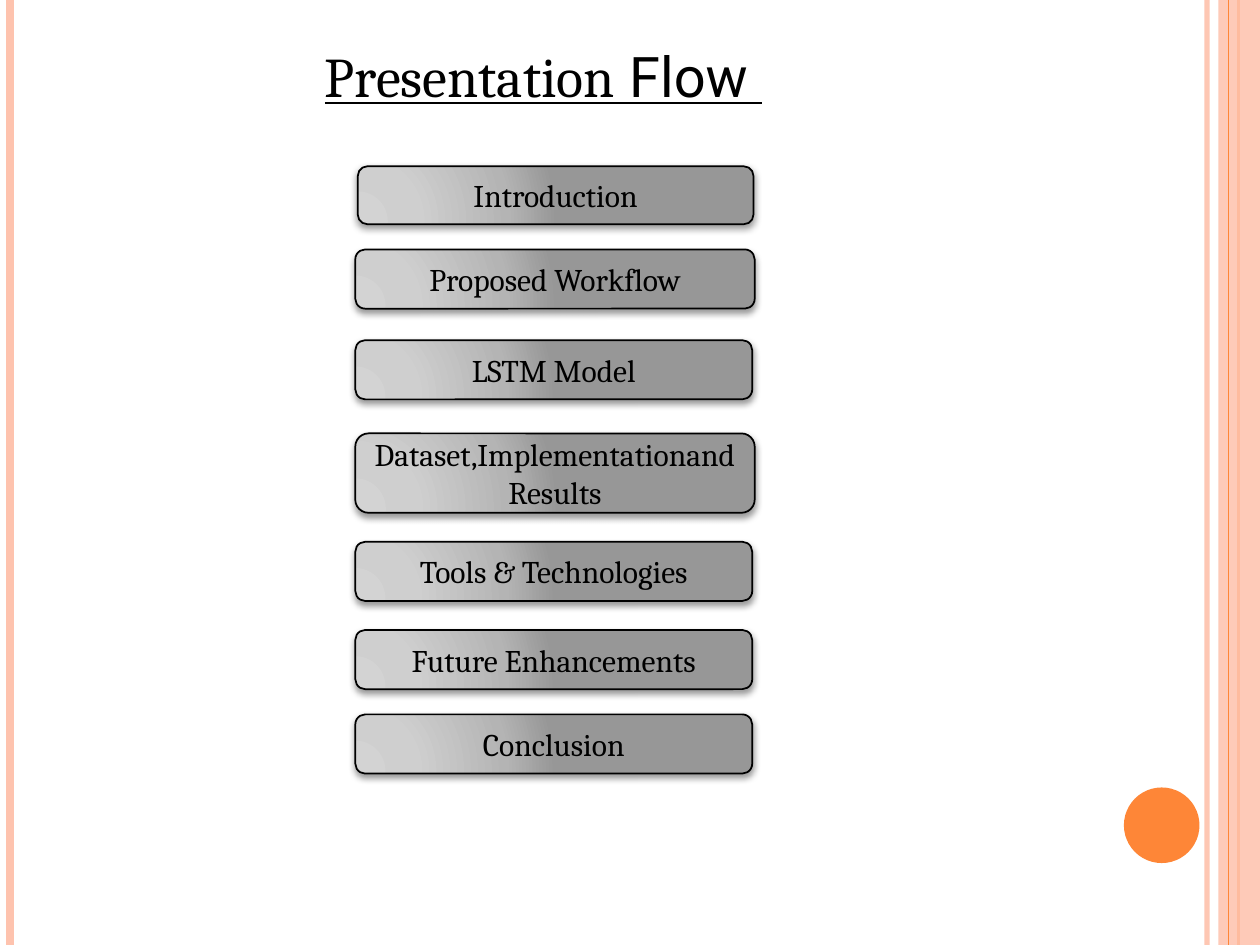
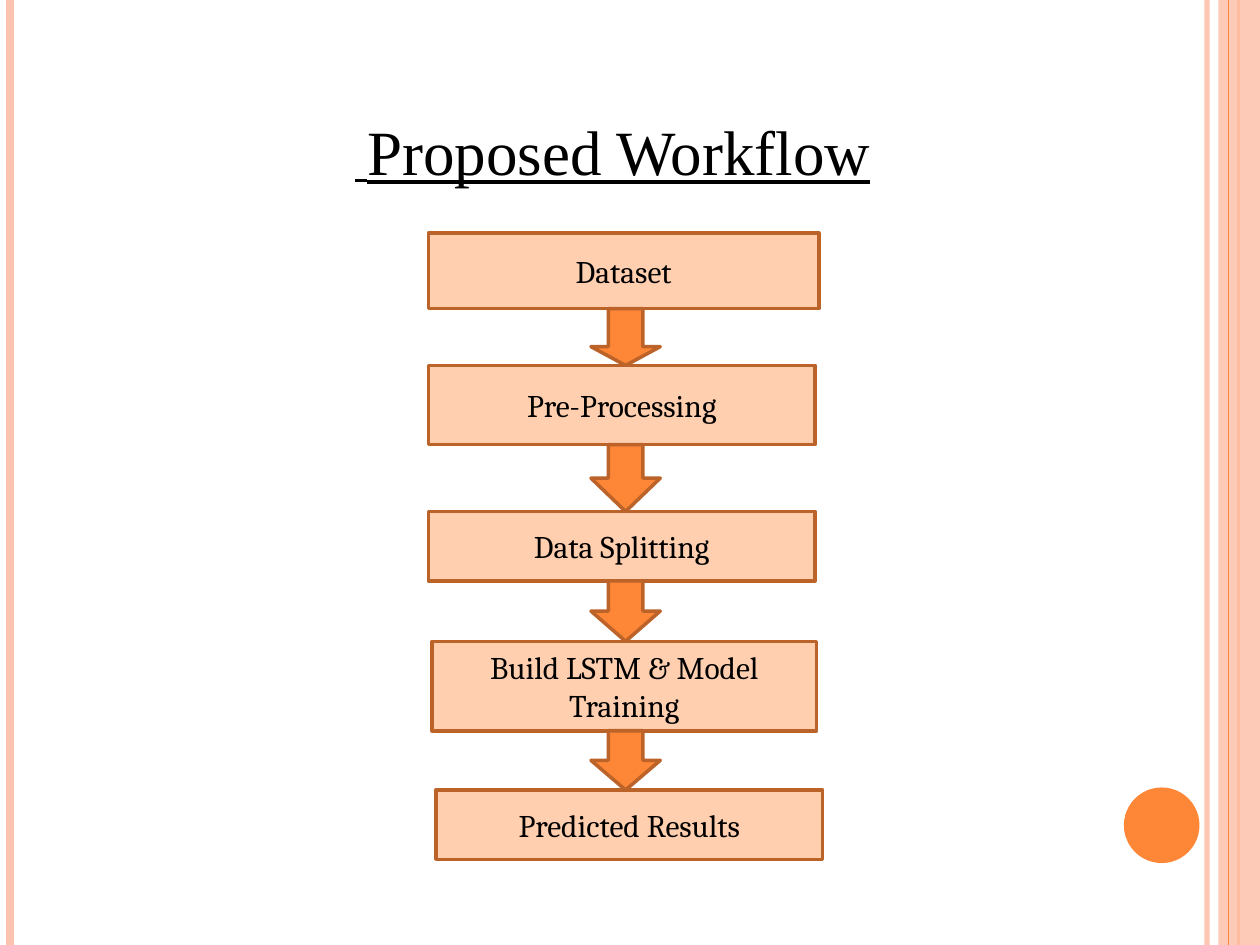
from itertools import pairwise
from lxml.etree import SubElement
from pptx import Presentation
from pptx.dml.color import RGBColor
from pptx.enum.shapes import MSO_CONNECTOR, MSO_SHAPE
from pptx.enum.text import MSO_ANCHOR, PP_ALIGN
from pptx.oxml import parse_xml
from pptx.oxml.ns import nsdecls, qn
from pptx.util import Inches, Pt

BLACK, PINK, ORANGE = "000000", "FEC3AE", "FE8637"
PEACH, BROWN = "FFCFAF", "BC6329"
SERIF = "Cambria"
GREYS = [(0, "D3D3D3"), (30, "CFCFCF"), (75, "B4B4B4"), (100, "979797")]


def color(code):
    """Turn a hex string into a colour."""
    return RGBColor.from_string(code)


def fade(part, share):
    """Make the colours of a shape or line partly opaque, in percent."""
    for tint in part._element.spPr.iter(qn("a:srgbClr")):
        SubElement(tint, qn("a:alpha")).set("val", str(share * 1000))


def add_box(slide, kind, box, fill=None, edge=None, width=1):
    """Place a preset shape without a shadow."""
    shape = slide.shapes.add_shape(kind, *map(Inches, box))
    shape.shadow.inherit = False
    if fill:
        shape.fill.solid()
        shape.fill.fore_color.rgb = color(fill)
    if edge:
        shape.line.color.rgb = color(edge)
        shape.line.width = Pt(width)
    else:
        shape.line.fill.background()
    return shape


def add_label(shape, text):
    """Write centred text into a shape."""
    frame = shape.text_frame
    frame.word_wrap = True
    frame.vertical_anchor = MSO_ANCHOR.MIDDLE
    para = frame.paragraphs[0]
    para.text = text
    para.alignment = PP_ALIGN.CENTER
    para.font.name, para.font.size = SERIF, Pt(18)
    para.font.color.rgb = color(BLACK)


def add_rule(slide, left, tint, width):
    """Draw a vertical rule over the full slide height."""
    rule = slide.shapes.add_connector(
        MSO_CONNECTOR.STRAIGHT, Inches(left), 0, Inches(left), Inches(7.5))
    rule.line.color.rgb = color(tint)
    rule.line.width = Pt(width)
    SubElement(rule._element.spPr, qn("a:effectLst"))
    return rule


def add_frame(slide):
    """Draw the side bands and the disc that all slides share."""
    fade(add_rule(slide, 9.58, PINK, 3), 93)
    add_rule(slide, 0.08, PINK, 4.5)
    add_rule(slide, 9.83, ORANGE, 1.5)
    fade(add_box(slide, MSO_SHAPE.RECTANGLE, (9.67, 0, 0.33, 7.5), PINK), 87)
    add_rule(slide, 9.75, ORANGE, 0.75)
    add_box(slide, MSO_SHAPE.OVAL, (8.92, 6.25, 0.6, 0.6), ORANGE)


def add_title(slide, box, runs):
    """Write an underlined title from (text, font, size) runs."""
    frame = slide.shapes.add_textbox(*map(Inches, box)).text_frame
    frame.word_wrap = True
    para = frame.paragraphs[0]
    for text, face, size in runs:
        run = para.add_run()
        run.text = text
        run.font.name, run.font.size = face, Pt(size)
        run.font.underline = True
        run.font.color.rgb = color(BLACK)


def add_pill(slide, box, text):
    """Place a rounded agenda bar with a grey gradient and soft shadow."""
    pill = add_box(slide, MSO_SHAPE.ROUNDED_RECTANGLE, box, edge=BLACK)
    stops = "".join(
        f'<a:gs pos="{pos * 1000}"><a:srgbClr val="{tint}"/></a:gs>'
        for pos, tint in GREYS)
    props = pill._element.spPr
    props.insert(2, parse_xml(
        f'<a:gradFill {nsdecls("a")} rotWithShape="1"><a:gsLst>{stops}</a:gsLst>'
        '<a:path path="circle"><a:fillToRect l="5000" t="100000" r="120000" '
        'b="10000"/></a:path></a:gradFill>'))
    props.find(qn("a:effectLst")).append(parse_xml(
        f'<a:outerShdw {nsdecls("a")} blurRad="{Pt(4)}" dist="{Pt(2)}" '
        'dir="5400000" rotWithShape="0"><a:srgbClr val="000000">'
        '<a:alpha val="40000"/></a:srgbClr></a:outerShdw>'))
    add_label(pill, text)


def add_agenda(slide, left, rows):
    """Stack agenda bars given as (shift, top, width, height, text)."""
    for shift, top, width, height, text in rows:
        add_pill(slide, (left + shift, top, width, height), text)


def add_flow(slide, left, steps):
    """Stack (shift, top, width, height, text) steps and fill gaps with arrows."""
    for shift, top, width, height, text in steps:
        box = left + shift, top, width, height
        add_label(add_box(slide, MSO_SHAPE.RECTANGLE, box, PEACH, BROWN, 2), text)
    for index, (step, after) in enumerate(pairwise(steps)):
        foot = step[1] + step[3]
        box = left + 1.29, foot, 0.55, after[1] - foot
        arrow = add_box(slide, MSO_SHAPE.DOWN_ARROW, box, ORANGE, BROWN, 2)
        if index == 0:
            arrow.adjustments[1] = 0.33


def main():
    """Build and save both slides."""
    deck = Presentation()
    deck.slide_width, deck.slide_height = Inches(10), Inches(7.5)
    first, second = (deck.slides.add_slide(deck.slide_layouts[6]) for _ in range(2))

    add_frame(first)
    add_title(first, (2.48, 0.28, 3.94, 0.64),
              [("Presentation", SERIF, 32), (" Flow ", "Roboto", 32)])
    add_agenda(first, 2.82, [
        (0.02, 1.32, 3.14, 0.46, "Introduction"),
        (0, 1.98, 3.17, 0.47, "Proposed Workflow"),
        (0, 2.7, 3.15, 0.47, "LSTM Model"),
        (0, 3.44, 3.17, 0.63, "Dataset,Implementationand Results"),
        (0, 4.3, 3.15, 0.47, "Tools & Technologies"),
        (0, 5, 3.15, 0.47, "Future Enhancements"),
        (0, 5.67, 3.15, 0.47, "Conclusion")])

    add_frame(second)
    add_title(second, (2.72, 0.84, 4.49, 1.01),
              [(" ", "Times New Roman", 28),
               ("Proposed Workflow", "Times New Roman", 36)])
    add_flow(second, 3.4, [
        (0, 1.85, 3.1, 0.6, "Dataset"),
        (0, 2.9, 3.07, 0.63, "Pre-Processing"),
        (0, 4.06, 3.07, 0.55, "Data Splitting"),
        (0.03, 5.09, 3.05, 0.71, "Build LSTM & Model Training"),
        (0.06, 6.27, 3.07, 0.55, "Predicted Results")])
    deck.save("out.pptx")


main()
